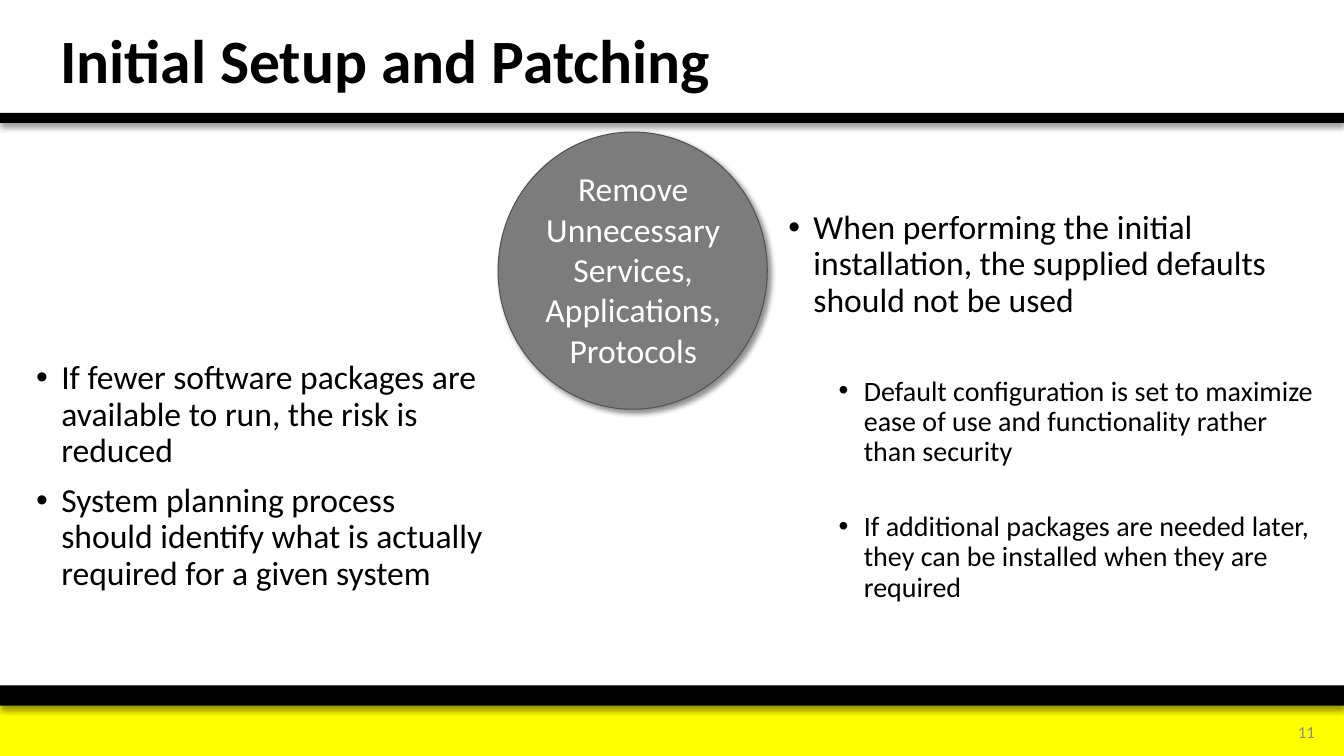
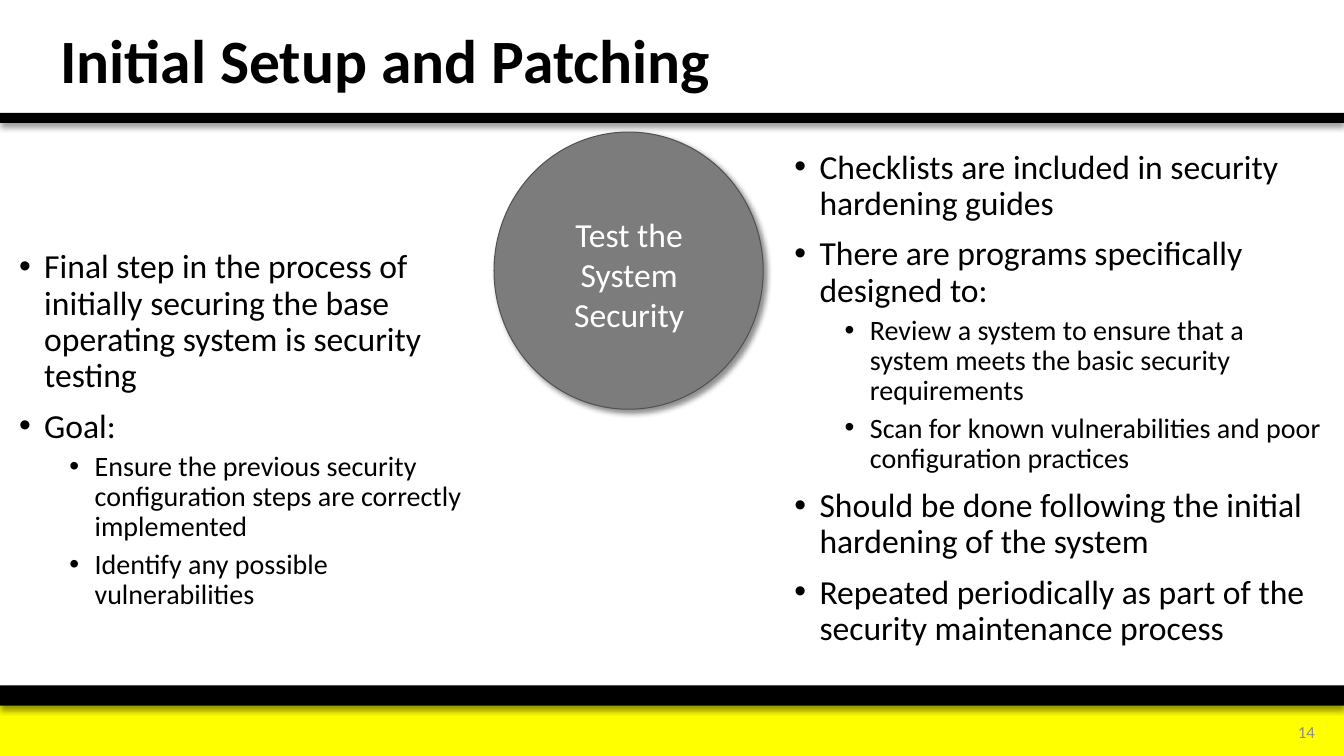
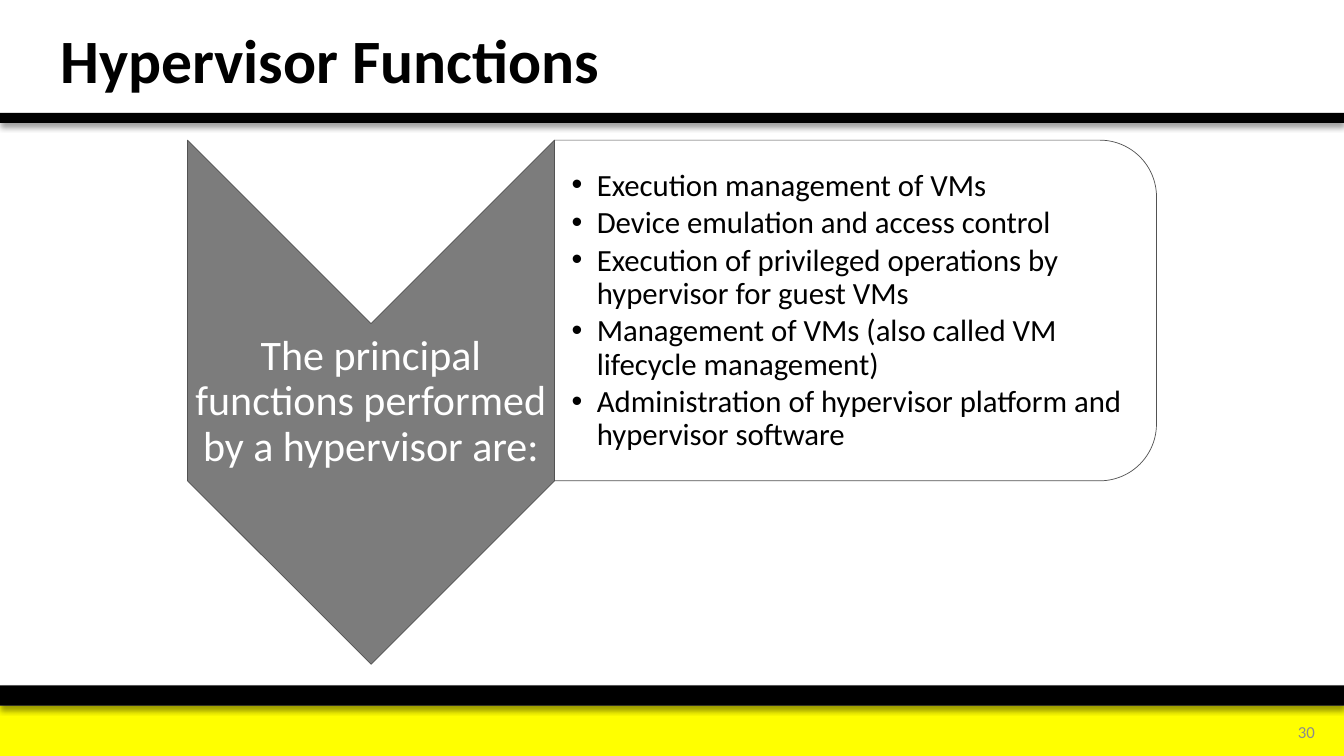
from pptx import Presentation
from pptx.dml.color import RGBColor
from pptx.enum.shapes import MSO_SHAPE
from pptx.enum.text import MSO_ANCHOR, PP_ALIGN
from pptx.oxml.ns import qn
from pptx.util import Inches, Pt
from lxml import etree

RECT, OVAL = MSO_SHAPE.RECTANGLE, MSO_SHAPE.OVAL
CHEVRON, TAB = MSO_SHAPE.CHEVRON, MSO_SHAPE.ROUND_2_SAME_RECTANGLE
TOP, MID = MSO_ANCHOR.TOP, MSO_ANCHOR.MIDDLE
LEFT, MIDDLE, RIGHT = PP_ALIGN.LEFT, PP_ALIGN.CENTER, PP_ALIGN.RIGHT

WIDE, HIGH = 13.33, 7.5
FONT = "Calibri"
BLACK, WHITE, YELLOW = "000000", "FFFFFF", "FFFF00"
GRAY, EDGE, PALE = "7C7C7C", "525252", "8C8C8C"
SIZES = (24, 20)    # text size by bullet level
SPACES = (10, 5)    # space before by bullet level


def paint(target, color):
    """Give a fill or a font a solid hex colour."""
    if hasattr(target, "solid"):
        target.solid()
        target.fore_color.rgb = RGBColor.from_string(color)
    else:
        target.color.rgb = RGBColor.from_string(color)


def child(node, tag, **attrs):
    return etree.SubElement(node, qn(tag), attrs)


def cast(shape, alpha, angle):
    """Add a soft black outer shadow; alpha in percent, angle in degrees."""
    effects = shape._element.spPr.find(qn("a:effectLst"))
    outer = child(effects, "a:outerShdw", blurRad=str(Pt(4)), dist=str(Pt(3)),
                  dir=str(angle * 60000), algn="tl", rotWithShape="0")
    tint = child(outer, "a:srgbClr", val=BLACK)
    child(tint, "a:alpha", val=str(alpha * 1000))


def draw(slide, kind, box, color, line=0, turn=0):
    shape = slide.shapes.add_shape(kind, *map(Inches, box))
    shape.shadow.inherit = False
    shape.rotation = turn
    paint(shape.fill, color)
    if line:
        paint(shape.line.fill, EDGE)
        shape.line.width = Pt(line)
    else:
        shape.line.fill.background()
    return shape


def frame(slide, box, anchor=TOP, pads=(0.1, 0.05, 0.1, 0.05)):
    text = slide.shapes.add_textbox(*map(Inches, box)).text_frame
    text.word_wrap = True
    text.vertical_anchor = anchor
    text.margin_left, text.margin_top, text.margin_right, text.margin_bottom = \
        map(Inches, pads)
    return text


def write(text, first, words, size, color=BLACK, align=LEFT, bold=False,
          lead=0.9, before=0, after=0, indent=None):
    """Add one paragraph; an indent in inches makes it a bullet."""
    para = text.paragraphs[0] if first else text.add_paragraph()
    if indent is not None:
        props = para._p.get_or_add_pPr()
        props.set("marL", str(Inches(indent)))
        props.set("indent", str(Inches(-0.25)))
        child(props, "a:buFont", typeface="Arial")
        child(props, "a:buChar", char="•")
    para.alignment = align
    para.line_spacing = lead
    para.space_before = Pt(0 if first else before)
    para.space_after = Pt(after)
    run = para.add_run()
    run.text = words
    run.font.name, run.font.size, run.font.bold = FONT, Pt(size), bold
    paint(run.font, color)


def base(deck, title, number):
    """Start a slide with its bands, page number and title."""
    slide = deck.slides.add_slide(deck.slide_layouts[6])
    draw(slide, RECT, (0, 7, WIDE, 0.5), YELLOW)
    for top, high in ((6.8, 0.2), (1.12, 0.1)):
        cast(draw(slide, RECT, (0, top, WIDE, high), BLACK), 40, 90)
    write(frame(slide, (12.38, 7.06, 0.76, 0.4), MID), True, str(number), 12,
          PALE, RIGHT, lead=1)
    write(frame(slide, (0.5, 0.07, 10.47, 1.12), MID), True, title, 44, bold=True)
    return slide


def bullets(slide, box, items):
    """Items are (level, words) with an optional wider space before."""
    text = frame(slide, box)
    for i, (level, words, *gap) in enumerate(items):
        write(text, i == 0, words, SIZES[level],
              before=gap[0] if gap else SPACES[level], indent=0.25 + 0.5 * level)


def disc(slide, left, inset, lines):
    """Gray circle with centred lines that start at the given inset."""
    top, wide, high = 1.31, 2.67, 2.75
    cast(draw(slide, OVAL, (left, top, wide, high), GRAY, 0.75), 43, 45)
    text = frame(slide, (left + 0.05, top + inset, 2.58, high - 2 * inset))
    for i, words in enumerate(lines):
        write(text, i == 0, words, 24, WHITE, MIDDLE, lead=1)


def upright(left, top, wide, high):
    """Frame of a shape that fills this box after a quarter turn."""
    return left + (wide - high) / 2, top + (high - wide) / 2, high, wide


def arrow(slide, box, label, items):
    """Downward chevron with a label, and a list panel to its right."""
    left, top, wide, high = box
    stem, tip = 3.64, 1.82
    side = high - tip
    pad = (0.02,) * 4
    # Chevron
    draw(slide, CHEVRON, upright(left, top, stem, high), GRAY, 0.5, 90)
    text = frame(slide, (left, top + tip, stem, high - 2 * tip), MID, pad)
    write(text, True, label, 30, WHITE, MIDDLE, after=10.5)
    # Panel
    panel = draw(slide, TAB, upright(left + stem, top, wide - stem, side),
                 WHITE, 0.5, 90)
    tint = panel._element.spPr.find(qn("a:solidFill"))[0]
    child(tint, "a:alpha", val="90000")
    text = frame(slide, (left + stem, top + 0.17, wide - stem - 0.17, side - 0.33),
                 MID, (0.17,) + pad[1:])
    for i, words in enumerate(items):
        write(text, i == 0, words, 22, after=3, indent=0.25)


def main():
    deck = Presentation()
    deck.slide_width, deck.slide_height = Inches(WIDE), Inches(HIGH)

    # Remove what is not needed
    slide = base(deck, "Initial Setup and Patching", 11)
    bullets(slide, (0.26, 3.53, 4.66, 3.13), [
        (0, "If fewer software packages are available to run, the risk is reduced"),
        (0, "System planning process should identify what is actually required "
            "for a given system")])
    bullets(slide, (7.72, 2.04, 5.46, 4.71), [
        (0, "When performing the initial installation, the supplied defaults "
            "should not be used"),
        (1, "Default configuration is set to maximize ease of use and "
            "functionality rather than security", 41),
        (1, "If additional packages are needed later, they can be installed "
            "when they are required", 32)])
    disc(slide, 4.94, 0.31,
         ["Remove Unnecessary Services, Applications, Protocols"])

    # Test the security
    slide = base(deck, "Initial Setup and Patching", 14)
    bullets(slide, (0.09, 2.43, 4.78, 4.22), [
        (0, "Final step in the process of initially securing the base operating "
            "system is security testing"),
        (0, "Goal:"),
        (1, "Ensure the previous security configuration steps are correctly "
            "implemented"),
        (1, "Identify any possible vulnerabilities")])
    bullets(slide, (7.78, 1.44, 5.46, 5.21), [
        (0, "Checklists are included in security hardening guides"),
        (0, "There are programs specifically designed to:"),
        (1, "Review a system to ensure that a system meets the basic security "
            "requirements"),
        (1, "Scan for known vulnerabilities and poor configuration practices"),
        (0, "Should be done following the initial hardening of the system"),
        (0, "Repeated periodically as part of the security maintenance process")])
    disc(slide, 4.9, 0.76, ["Test the", "System", "Security"])

    # Hypervisor
    slide = base(deck, "Hypervisor Functions", 30)
    arrow(slide, (1.86, 1.39, 9.61, 5.2),
          "The principal functions performed by a hypervisor are:",
          ["Execution management of VMs",
           "Device emulation and access control",
           "Execution of privileged operations by hypervisor for guest VMs",
           "Management of VMs (also called VM lifecycle management)",
           "Administration of hypervisor platform and hypervisor software"])

    deck.save("out.pptx")


if __name__ == "__main__":
    main()
